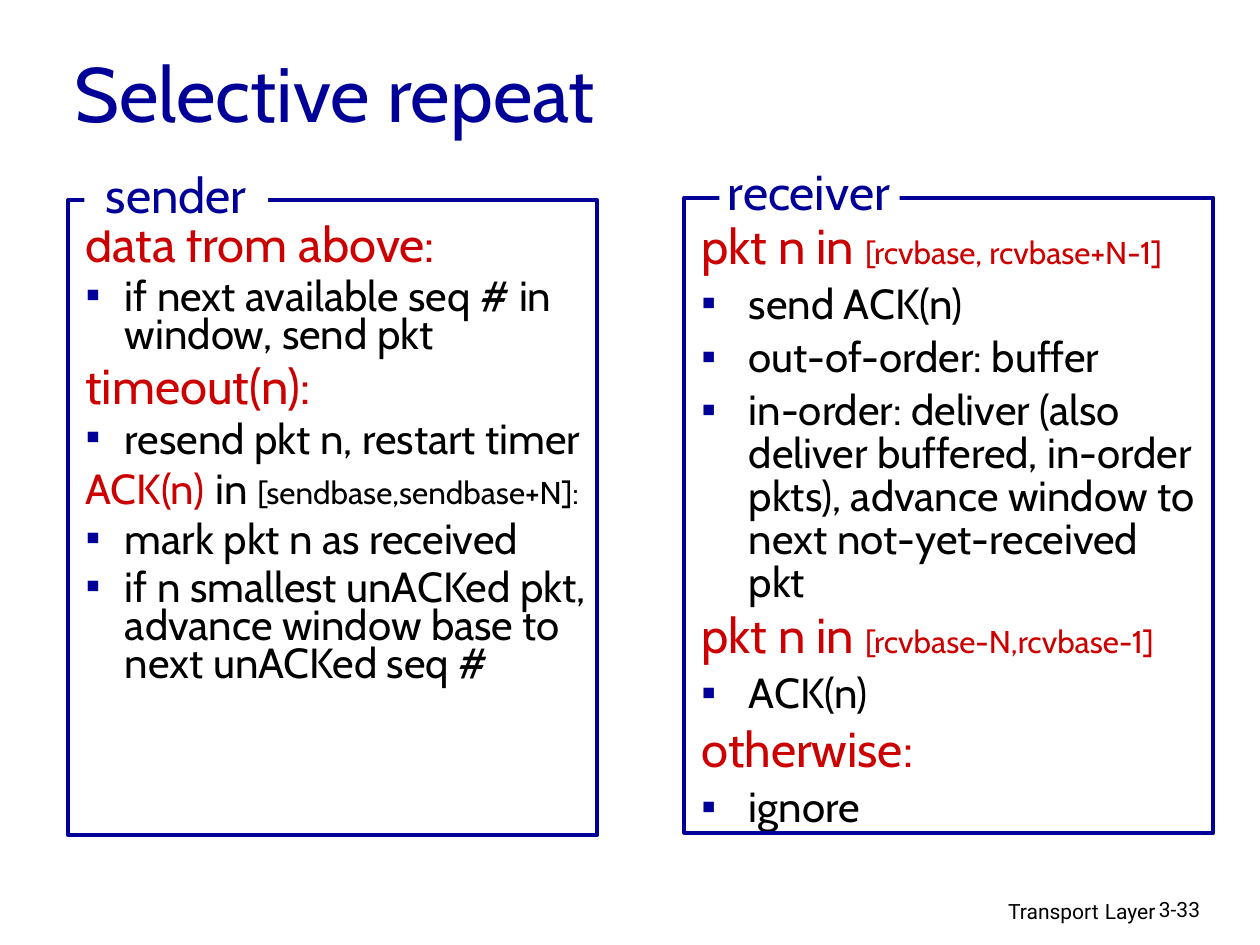
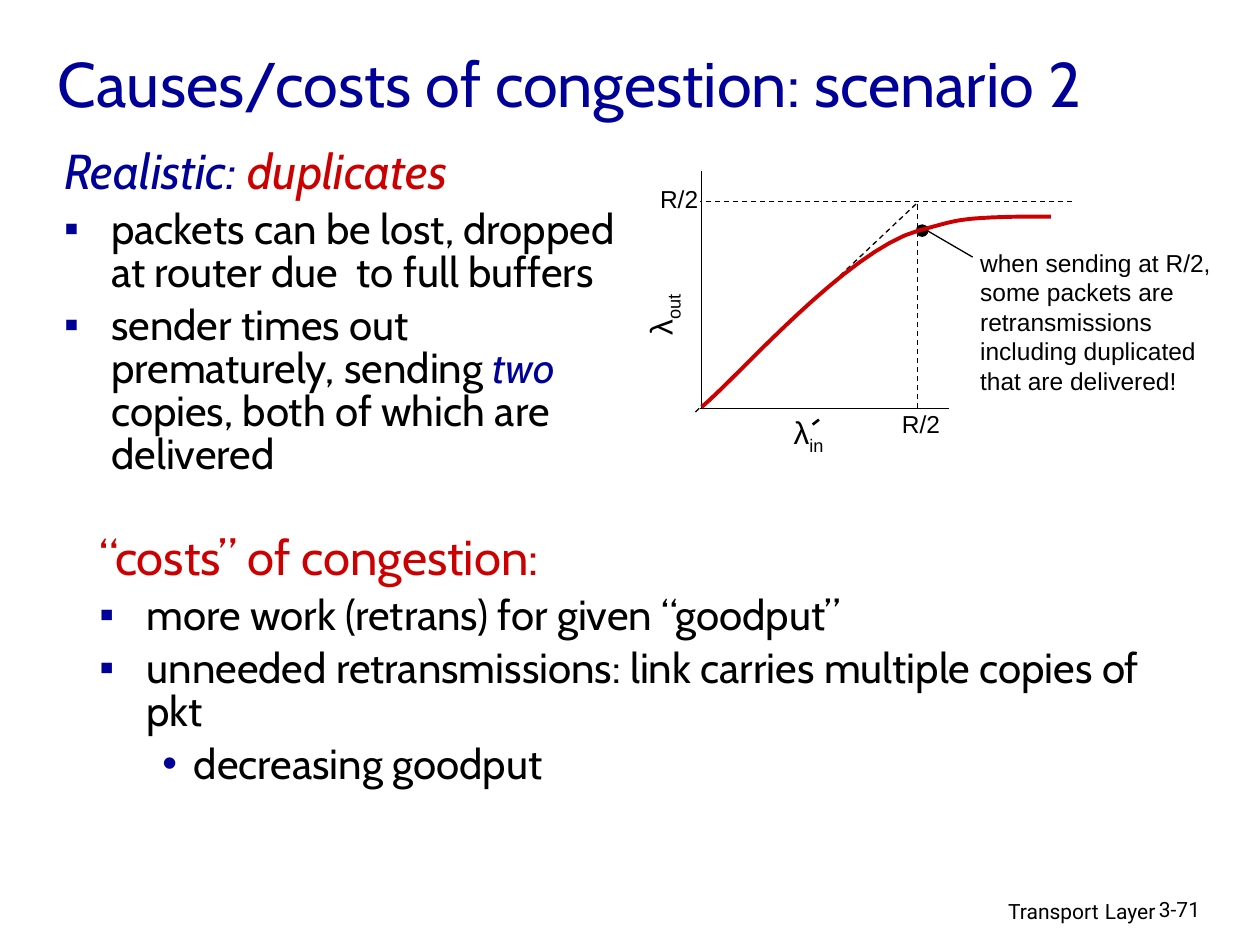
from lxml.etree import SubElement as Sub
from pptx import Presentation
from pptx.dml.color import RGBColor as RGB
from pptx.enum.dml import MSO_LINE as Dash
from pptx.enum.shapes import MSO_CONNECTOR as Link, MSO_SHAPE as Kind
from pptx.enum.text import MSO_ANCHOR as Anchor, PP_ALIGN as Align
from pptx.oxml.ns import qn
from pptx.util import Pt

HUES = {"blue": "000099", "red": "CC0000", "black": "000000", "white": "FFFFFF"}
INK = {name: RGB.from_string(code) for name, code in HUES.items()}

# name: font, size, colour, italic
STYLES = {
    "title": ("Cabin", 44, "blue", False),
    "long": ("Cabin", 36, "blue", False),
    "label": ("Cabin", 28, "blue", False),
    "head": ("Cabin", 28, "red", False),
    "mark": ("Cabin", 24, "red", False),
    "body": ("Cabin", 24, "black", False),
    "range": ("Cabin", 18, "red", False),
    "small": ("Cabin", 18, "black", False),
    "real": ("Cabin", 28, "blue", True),
    "dup": ("Cabin", 28, "red", True),
    "stress": ("Cabin", 24, "blue", True),
    "foot": ("Roboto", 12, "black", False),
    "gap": ("Roboto", 14, "black", False),
    "note": ("Arial", 14, "black", False),
    "axis": ("Arial", 18, "black", False),
    "sub": ("Arial", 18, "black", False),
}


def write(shape, paras, hang=0, wrap=True, **form):
    """Fill a shape with (bullet, space before, runs); hang is the bullet indent."""
    frame = shape.text_frame
    frame.word_wrap = wrap
    for n, (bullet, before, runs) in enumerate(paras):
        para = frame.paragraphs[0] if n == 0 else frame.add_paragraph()
        for key, val in {"space_before": Pt(before), **form}.items():
            setattr(para, key, val)
        props = para._p.get_or_add_pPr()
        left, first = (54, -18) if bullet == "•" else (hang, -hang)
        props.set("marL", str(Pt(left)))
        props.set("indent", str(Pt(first)))
        if bullet:
            Sub(Sub(props, qn("a:buClr")), qn("a:srgbClr"), val=HUES["blue"])
            Sub(props, qn("a:buFont"), typeface="Arial")
            Sub(props, qn("a:buChar"), char=bullet)
        else:
            Sub(props, qn("a:buNone"))
        for words, style in runs:
            run = para.add_run()
            run.text = words
            face, size, hue, slant = STYLES[style]
            look = {"name": face, "size": Pt(size), "italic": slant}
            for key, val in look.items():
                setattr(run.font, key, val)
            run.font.color.rgb = INK[hue]
            if style == "sub":
                run._r.get_or_add_rPr().set("baseline", "-25000")


def place(add, box, *kind):
    return add(*kind, *(Pt(v) for v in box))


deck = Presentation()
deck.slide_width, deck.slide_height = Pt(720), Pt(540)

# Titles and footers
PAGES = [
    ("3-33", (35.3, 19.4, 612, 66.2), [("Selective repeat", "title")]),
    ("3-71", (25.9, 9.4, 612, 68.4),
     [("Causes/costs of congestion: scenario 2", "long"), (" ", "title")]),
]
for number, box, runs in PAGES:
    slide = deck.slides.add_slide(deck.slide_layouts[5])
    title = slide.shapes.title
    for key, val in zip(("left", "top", "width", "height"), box):
        setattr(title, key, Pt(val))
    write(title, [(None, 0, runs)], alignment=Align.LEFT)
    title.text_frame.vertical_anchor = Anchor.MIDDLE
    foot = place(slide.shapes.add_textbox, (439.2, 507.6, 228.2, 22.3))
    write(foot, [(None, 0, [("Transport", "foot"), (" ", "gap"), ("Layer", "foot")])],
          alignment=Align.RIGHT)
    page = place(slide.shapes.add_textbox, (655.2, 509, 53.3, 21.6))
    write(page, [(None, 0, [(number, "foot")])])

# Slide 1: sender and receiver panels
shapes = deck.slides[0].shapes
SENDER = [
    (None, 7, [("data from above:", "head")]),
    ("▪", 6, [("if next available seq # in window, send pkt", "body")]),
    (None, 7, [("timeout(n):", "head")]),
    ("▪", 6, [("resend pkt n, restart timer", "body")]),
    (None, 4.5, [("ACK(n)", "mark"), (" ", "head"), ("in ", "body"),
                 ("[sendbase,sendbase+N]:", "small")]),
    ("▪", 6, [("mark pkt n as received", "body")]),
    ("▪", 6, [("if n smallest unACKed pkt, advance window base to next "
               "unACKed seq #", "body")]),
]
RECEIVER = [
    (None, 4.5, [("pkt n in ", "head"), ("[rcvbase, rcvbase+N-1]", "range")]),
    ("▪", 6, [("send ACK(n)", "body")]),
    ("▪", 6, [("out-of-order: buffer", "body")]),
    ("▪", 6, [("in-order: deliver (also deliver buffered, in-order pkts), "
               "advance window to next not-yet-received pkt", "body")]),
    (None, 4.5, [("pkt n in ", "head"), ("[rcvbase-N,rcvbase-1]", "range")]),
    ("▪", 6, [("ACK(n)", "body")]),
    (None, 6, [("otherwise:", "head")]),
    ("▪", 6, [("ignore", "body")]),
]
# name, paragraphs, panel corner, text corner, indent, spacing, cover, label
PANELS = [
    ("sender", SENDER, (38.9, 114.5), (41.8, 126), 22.5, 0.75,
     (48.2, 90.7, 105.1, 41), (48.2, 90.7, 105.1, 41)),
    ("receiver", RECEIVER, (391, 113), (393.8, 124.6), 27, 0.85,
     (411.1, 102.2, 103, 22.3), (402.5, 88.6, 119.5, 41)),
]
for name, paras, corner, start, hang, space, cover, label in PANELS:
    text = place(shapes.add_textbox, (*start, 300.2, 365.8))
    write(text, paras, hang, line_spacing=space)
    panel = place(shapes.add_shape, (*corner, 302.4, 362.9), Kind.RECTANGLE)
    panel.fill.background()
    panel.line.color.rgb = INK["blue"]
    panel.line.width = Pt(2.25)
    mask = place(shapes.add_shape, cover, Kind.RECTANGLE)
    mask.fill.solid()
    mask.fill.fore_color.rgb = INK["white"]
    mask.line.fill.background()
    for shape in (panel, mask):
        shape.shadow.inherit = False
    tag = place(shapes.add_textbox, label)
    write(tag, [(None, 0, [(name, "label")])], wrap=False, alignment=Align.CENTER)

# Slide 2: text blocks
shapes = deck.slides[1].shapes
REAL = [
    (None, 6, [("Realistic: ", "real"), ("duplicates", "dup")]),
    ("▪", 6, [("packets can be lost, dropped at router due  to full buffers", "body")]),
    ("▪", 6, [("sender times out prematurely, sending ", "body"), ("two ", "stress"),
              ("copies, both of which are delivered", "body")]),
]
COSTS = [
    (None, 7, [("“costs” of congestion:", "head")]),
    ("▪", 6, [("more work (retrans) for given “goodput”", "body")]),
    ("▪", 6, [("unneeded retransmissions: link carries multiple copies of pkt", "body")]),
    ("•", 6, [("decreasing goodput", "body")]),
]
for box, paras in [((29.5, 82.1, 339.1, 151.2), REAL),
                   ((49.7, 302.4, 641.5, 77.8), COSTS)]:
    write(place(shapes.add_textbox, box), paras, 27, line_spacing=0.85)

# Slide 2: throughput graph
LINES = [  # ends, width, dashed, arrow
    ((401, 97.9, 401, 233.3), 0.75, False, False),
    ((542.2, 233.3, 400.3, 233.3), 0.75, False, False),
    ((612.7, 115.2, 400.3, 115.2), 0.75, True, False),
    ((397.4, 235.4, 524.9, 115.2), 0.75, True, False),
    ((524.2, 233.3, 524.2, 116.6), 0.75, True, False),
    ((555.8, 146.9, 524.9, 128.9), 0.75, False, True),
    ((464.4, 242.6, 468, 239.8), 1.5, False, False),
]
for ends, width, dashed, arrow in LINES:
    line = place(shapes.add_connector, ends, Link.STRAIGHT)
    line.line.color.rgb = INK["black"]
    line.line.width = Pt(width)
    if dashed:
        line.line.dash_style = Dash.DASH
    if arrow:
        Sub(line.line._get_or_add_ln(), qn("a:tailEnd"), type="triangle")
    Sub(line._element.spPr, qn("a:effectLst"))

dot = place(shapes.add_shape, (523.4, 128.2, 7.2, 7.2), Kind.OVAL)
dot.fill.solid()
dot.fill.fore_color.rgb = INK["black"]
dot.line.fill.background()

# Cubic arcs, each starting where the last one ends
ARCS = [
    ((421.2, 216), (483.8, 143.3), (524.9, 131.8)),
    ((547.2, 126), (545.8, 124.6), (583.9, 123.8)),
    ((600.5, 123.8), (596.9, 123.8), (600.5, 123.8)),
]
STEPS = 16
last = (401, 232.6)
pen = shapes.build_freeform(Pt(last[0]), Pt(last[1]))
for arc in ARCS:
    knots = (last, *arc)
    dots = []
    for n in range(1, STEPS + 1):
        t = n / STEPS
        mix = ((1 - t) ** 3, 3 * t * (1 - t) ** 2, 3 * t * t * (1 - t), t ** 3)
        dots.append([Pt(sum(m * k[axis] for m, k in zip(mix, knots))) for axis in (0, 1)])
    pen.add_line_segments(dots, close=False)
    last = arc[-1]
curve = pen.convert_to_shape()
curve.fill.background()
curve.line.color.rgb = INK["red"]
curve.line.width = Pt(2.25)
for shape in (dot, curve):
    shape.shadow.inherit = False

LABELS = [  # box, wrap, turn, runs
    ((370.1, 101.5, 36, 24.5), False, 0, [("R/2", "note")]),
    ((508.3, 230.4, 36, 24.5), False, 0, [("R/2", "note")]),
    ((354.2, 158.4, 49, 31.7), True, 270, [("λ", "axis"), ("out", "sub")]),
    ((446.4, 232.6, 32.4, 31.7), False, 0, [("λ", "axis"), ("in", "sub")]),
    ((553, 138.2, 148.3, 91.4), True, 0,
     [("when sending at R/2, some packets are retransmissions including "
       "duplicated that are delivered!", "note")]),
]
for box, wrap, turn, runs in LABELS:
    label = place(shapes.add_textbox, box)
    label.rotation = turn
    write(label, [(None, 0, runs)], wrap=wrap)

deck.save("out.pptx")
